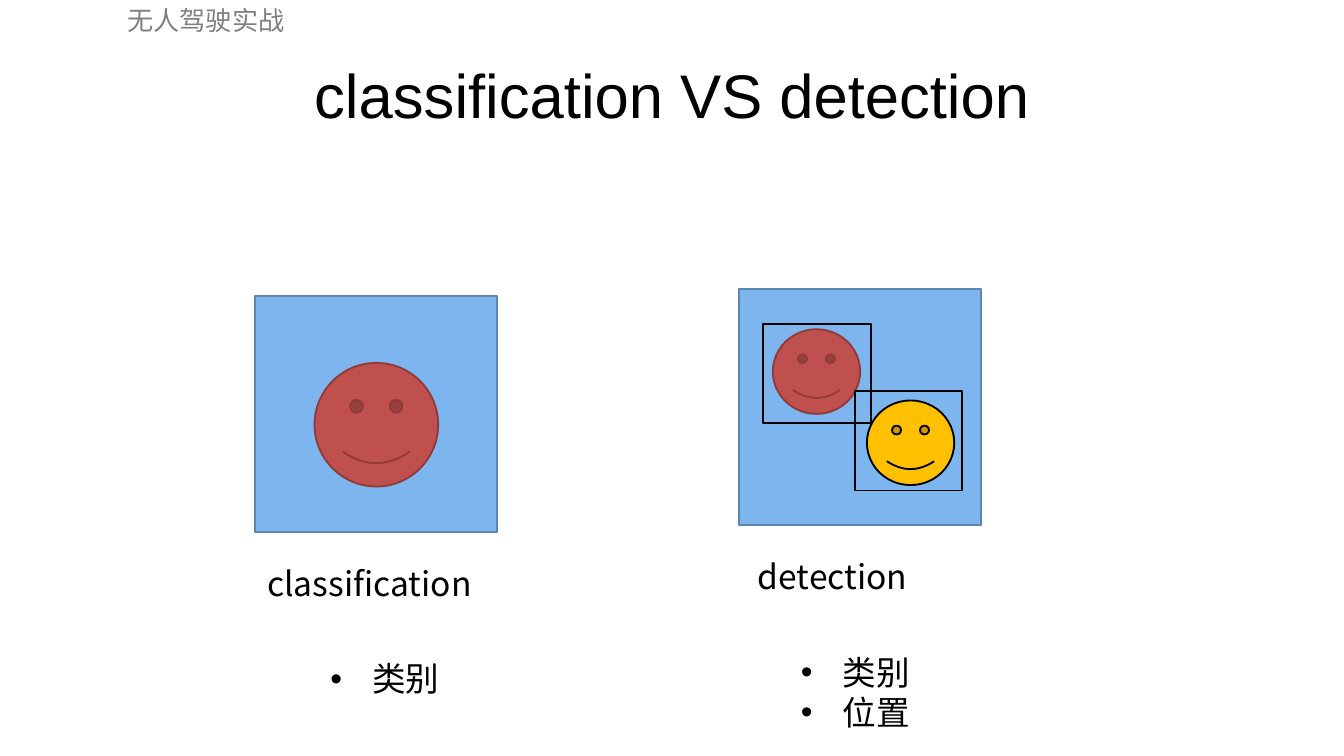
from lxml import etree
from pptx import Presentation
from pptx import util as u
from pptx.dml.color import RGBColor
from pptx.enum import shapes, text
from pptx.oxml.ns import qn

COLS, ROWS = 100, 56.25
WIDE = u.Inches(10)
HIGH = WIDE * 9 // 16
HUES = {"ink": "000000", "head": "808080", "sky": "7DB6EF", "edge": "5C87B1",
        "red": "C0504D", "rust": "8E3B39", "gold": "FFC000"}
BODY = {"size": u.Pt(18), "name": "Noto Sans CJK SC"}
HEAD = {"size": u.Pt(14), "name": "Roboto"}
TITLE = {"size": u.Pt(33), "name": "Arial", "bold": False}
FRAME = {"word_wrap": False, "margin_left": u.Inches(0.1), "margin_right": u.Inches(0.1),
         "margin_top": u.Inches(0.05), "margin_bottom": u.Inches(0.05)}
KINDS = shapes.MSO_SHAPE


def grid(x, y, w, h):
    return [int(WIDE * x / COLS), int(HIGH * y / ROWS),
            int(WIDE * w / COLS), int(HIGH * h / ROWS)]


def apply(item, look):
    for key, value in look.items():
        setattr(item, key, value)


def tint(hue):
    return RGBColor.from_string(HUES[hue])


def style(par, look, hue="ink"):
    for run in par.runs:
        apply(run.font, look)
        run.font.color.rgb = tint(hue)
        east = etree.SubElement(run.font._element, qn("a:ea"))
        east.set("typeface", look["name"])


def bullet(par):
    props = par._p.get_or_add_pPr()
    dent = u.Inches(0.31)
    props.set("marL", str(dent))
    props.set("indent", str(-dent))
    font = etree.SubElement(props, qn("a:buFont"))
    font.set("typeface", "Arial")
    mark = etree.SubElement(props, qn("a:buChar"))
    mark.set("char", "•")


def words(slide, box, lines, look=BODY, hue="ink", dots=False):
    frame = slide.shapes.add_textbox(*grid(*box)).text_frame
    apply(frame, FRAME)
    frame.text = "\n".join(lines)
    for par in frame.paragraphs:
        if dots:
            bullet(par)
        style(par, look, hue)


def figure(slide, kind, box, fill, line):
    shape = slide.shapes.add_shape(kind, *grid(*box))
    shape.shadow.inherit = False
    if fill:
        shape.fill.solid()
        shape.fill.fore_color.rgb = tint(fill)
    else:
        shape.fill.background()
    shape.line.color.rgb = tint(line)
    shape.line.width = u.Pt(1)


def panel(slide, x, y, name, shift, width, items, inset):
    figure(slide, KINDS.RECTANGLE, (x, y, 18, 17.6), "sky", "edge")
    words(slide, (x + shift, y + 19.4, width, 4), [name])
    words(slide, (x + inset, y + 26.5, 10.1, 1 + 3 * len(items)), items, dots=True)


def title(slide, name):
    shape = slide.shapes.title
    apply(shape, dict(zip(("left", "top", "width", "height"), grid(5, 2.3, 90, 9.4))))
    frame = shape.text_frame
    frame.text = name
    frame.vertical_anchor = text.MSO_ANCHOR.MIDDLE
    par = frame.paragraphs[0]
    par.alignment = text.PP_ALIGN.CENTER
    style(par, TITLE)


def main():
    deck = Presentation()
    deck.slide_width, deck.slide_height = WIDE, HIGH
    slide = deck.slides.add_slide(deck.slide_layouts[5])
    words(slide, (8.5, -0.2, 19.8, 3.4), ["无人驾驶实战"], HEAD, "head")
    title(slide, "classification VS detection")
    panel(slide, 19, 22, "classification", -0.1, 18.1, ["类别"], 4.6)
    figure(slide, KINDS.SMILEY_FACE, (23.4, 27, 9.2, 9.2), "red", "rust")
    panel(slide, 55, 21.5, "detection", 0.4, 13.8, ["类别", "位置"], 3.6)
    for x, y, fill, line in ((57.5, 24.5, "red", "rust"), (64.5, 29.8, "gold", "ink")):
        figure(slide, KINDS.SMILEY_FACE, (x, y, 6.5, 6.3), fill, line)
    for x, y in ((56.8, 24.1), (63.6, 29.1)):
        figure(slide, KINDS.RECTANGLE, (x, y, 8, 7.4), None, "ink")
    deck.save("out.pptx")


if __name__ == "__main__":
    main()
